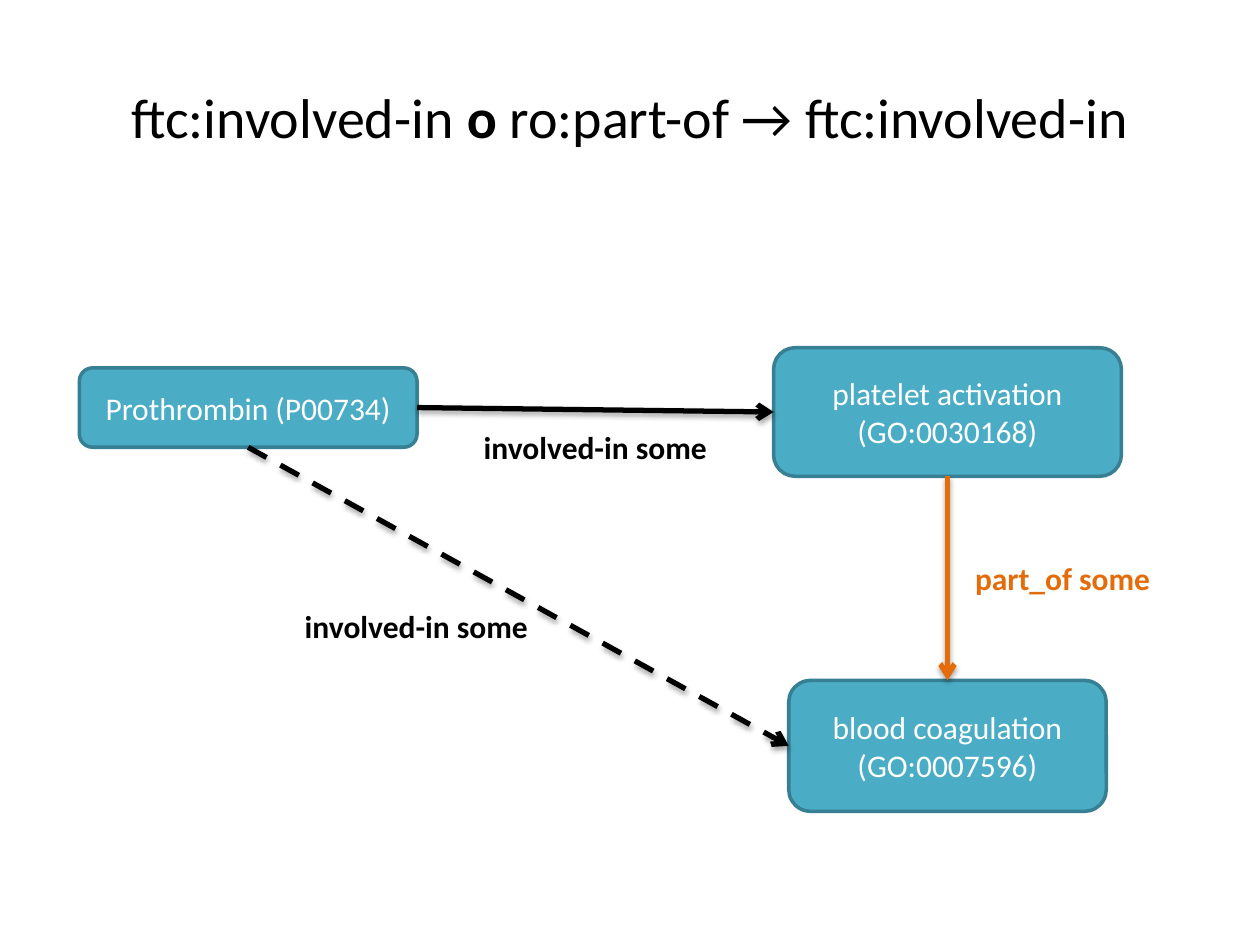
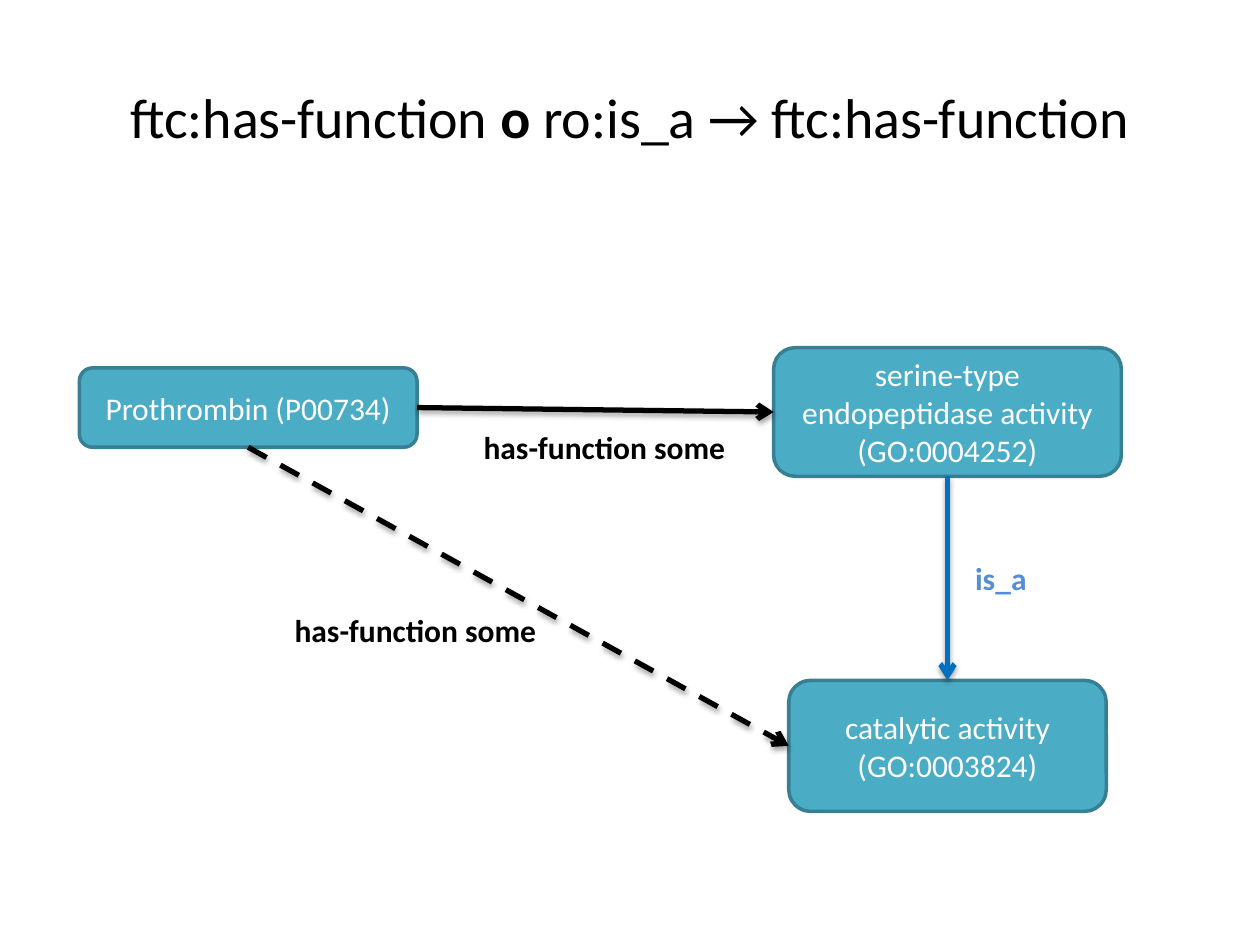
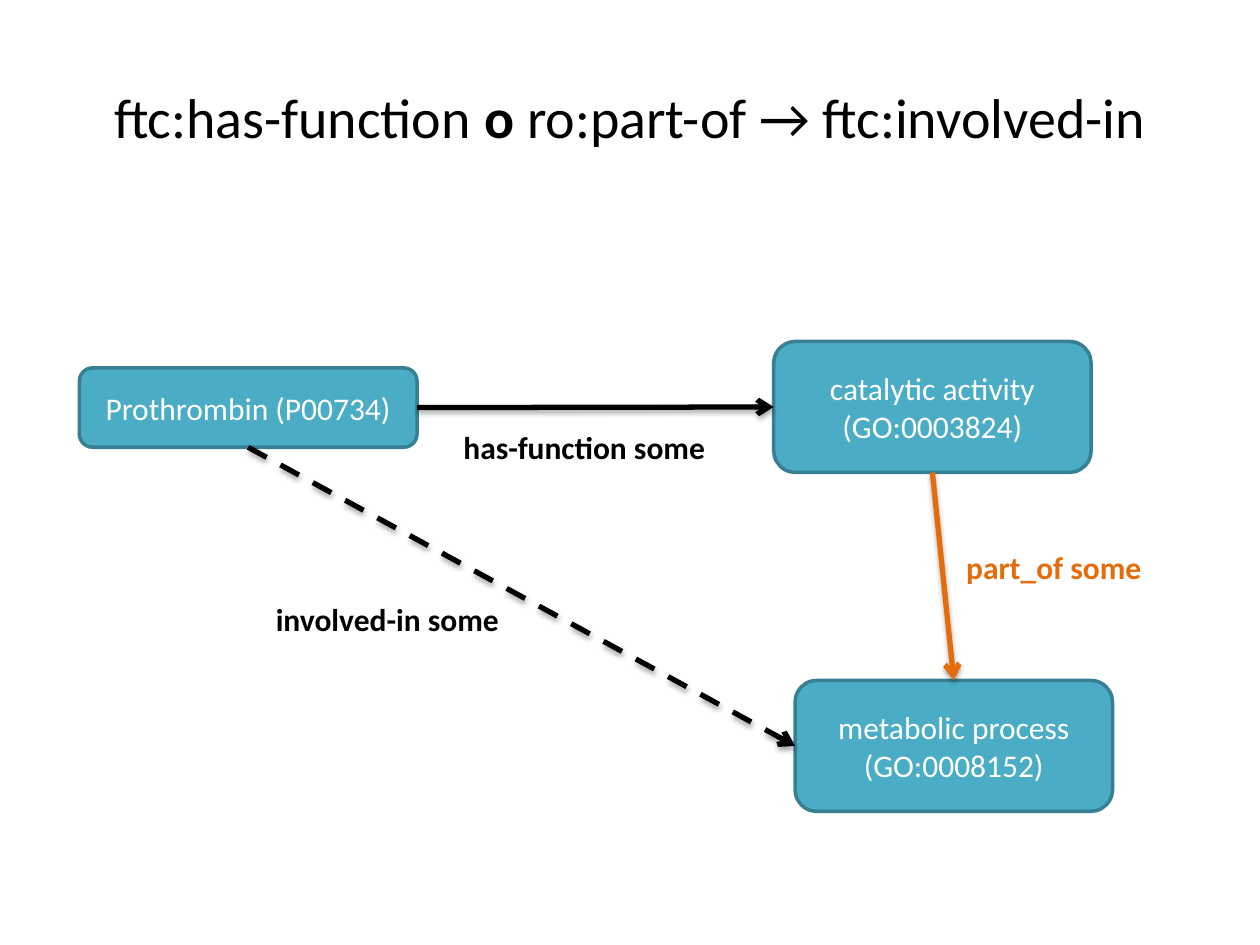
from lxml import etree
from pptx import Presentation
from pptx import util as u
from pptx.dml.color import RGBColor
from pptx.enum import dml, shapes, text
from pptx.oxml import ns

FONT = "Calibri"
BLACK = RGBColor(0x00, 0x00, 0x00)
WHITE = RGBColor(0xFF, 0xFF, 0xFF)
TEAL = RGBColor(0x4B, 0xAC, 0xC6)
DARK_TEAL = RGBColor(0x37, 0x7F, 0x92)
ORANGE = RGBColor(0xE4, 0x6C, 0x0A)
BLUE = RGBColor(0x00, 0x70, 0xC0)
LIGHT_BLUE = RGBColor(0x55, 0x8E, 0xD5)

TITLE_BOX = (0.5, 0.3, 9, 1.25)
PROTEIN = ("Prothrombin (P00734)", (0.63, 2.92, 2.68, 0.63))
WIDE_BOX = (6.14, 2.76, 2.76, 1.02)
LABEL_HEIGHT = 0.4
LABEL_WIDTHS = {"involved-in some": 1.98, "has-function some": 2.14,
                "part_of some": 1.6, "is_a": 0.61}
TOP, LEFT, BOTTOM, RIGHT = range(4)

DIAGRAMS = [
    {"title": ("ftc:involved-in ", "o ", "ro:part-of → ftc:involved-in"),
     "specific": ("platelet activation (GO:0030168)", WIDE_BOX),
     "general": ("blood coagulation (GO:0007596)", (6.26, 5.4, 2.52, 1.04)),
     "stated": ("involved-in some", (3.74, 3.35)),
     "hierarchy": ("part_of some", (7.64, 4.39), ORANGE, ORANGE),
     "inferred": ("involved-in some", (2.32, 4.77))},
    {"title": ("ftc:has-function ", "o ", "ro:is_a → ftc:has-function"),
     "specific": ("serine-type endopeptidase activity (GO:0004252)", WIDE_BOX),
     "general": ("catalytic activity (GO:0003824)", (6.26, 5.4, 2.52, 1.04)),
     "stated": ("has-function some", (3.74, 3.35)),
     "hierarchy": ("is_a", (7.64, 4.39), BLUE, LIGHT_BLUE),
     "inferred": ("has-function some", (2.24, 4.8))},
    {"title": ("ftc:has-function ", "o ", "ro:part-of → ftc:involved-in"),
     "specific": ("catalytic activity (GO:0003824)", (6.14, 2.71, 2.52, 1.04)),
     "general": ("metabolic process (GO:0008152)", (6.31, 5.4, 2.52, 1.04)),
     "stated": ("has-function some", (3.58, 3.35)),
     "hierarchy": ("part_of some", (7.57, 4.3), ORANGE, ORANGE),
     "inferred": ("involved-in some", (2.09, 4.71))},
]


def inches(values):
    return [u.Inches(value) for value in values]


def style_run(run, size, color, bold=False):
    run.font.name = FONT
    run.font.size = u.Pt(size)
    run.font.color.rgb = color
    run.font.bold = bold


def add_title(slide, parts):
    frame = slide.shapes.add_textbox(*inches(TITLE_BOX)).text_frame
    frame.word_wrap = True
    frame.vertical_anchor = text.MSO_ANCHOR.MIDDLE
    paragraph = frame.paragraphs[0]
    paragraph.alignment = text.PP_ALIGN.CENTER
    for part in parts:
        run = paragraph.add_run()
        run.text = part
        style_run(run, 32, BLACK, bold=part == "o ")


def add_node(slide, caption, box):
    shape = slide.shapes.add_shape(shapes.MSO_SHAPE.ROUNDED_RECTANGLE, *inches(box))
    shape.shadow.inherit = False
    shape.fill.solid()
    shape.fill.fore_color.rgb = TEAL
    shape.line.color.rgb = DARK_TEAL
    shape.line.width = u.Pt(2)
    frame = shape.text_frame
    frame.text = caption
    frame.word_wrap = True
    frame.vertical_anchor = text.MSO_ANCHOR.MIDDLE
    paragraph = frame.paragraphs[0]
    paragraph.alignment = text.PP_ALIGN.CENTER
    style_run(paragraph.runs[0], 18, WHITE)
    return shape


def add_label(slide, caption, place, color=BLACK):
    box = (*place, LABEL_WIDTHS[caption], LABEL_HEIGHT)
    frame = slide.shapes.add_textbox(*inches(box)).text_frame
    frame.text = caption
    frame.word_wrap = False
    frame.auto_size = text.MSO_AUTO_SIZE.SHAPE_TO_FIT_TEXT
    style_run(frame.paragraphs[0].runs[0], 18, color, bold=True)


def add_child(parent, tag, **attributes):
    return etree.SubElement(parent, ns.qn(tag), **attributes)


def add_arrow(slide, start, start_site, end, end_site, color=BLACK, dashed=False):
    arrow = slide.shapes.add_connector(shapes.MSO_CONNECTOR.STRAIGHT, 0, 0, 0, 0)
    arrow.begin_connect(start, start_site)
    arrow.end_connect(end, end_site)
    arrow.line.color.rgb = color
    arrow.line.width = u.Pt(3)
    if dashed:
        arrow.line.dash_style = dml.MSO_LINE.DASH
    properties = arrow._element.spPr
    add_child(properties.find(ns.qn("a:ln")), "a:tailEnd", type="arrow")
    effects = add_child(properties, "a:effectLst")
    shadow = add_child(effects, "a:outerShdw", blurRad=str(u.Pt(3.1)),
                       dist=str(u.Pt(1.8)), dir="5400000", rotWithShape="0")
    shade = add_child(shadow, "a:srgbClr", val=str(BLACK))
    add_child(shade, "a:alpha", val="35000")


def add_diagram(slide, diagram):
    add_title(slide, diagram["title"])
    protein = add_node(slide, *PROTEIN)
    specific = add_node(slide, *diagram["specific"])
    general = add_node(slide, *diagram["general"])
    name, place, arrow_color, label_color = diagram["hierarchy"]
    add_arrow(slide, protein, RIGHT, specific, LEFT)
    add_label(slide, *diagram["stated"])
    add_arrow(slide, specific, BOTTOM, general, TOP, arrow_color)
    add_label(slide, name, place, label_color)
    add_arrow(slide, protein, BOTTOM, general, LEFT, dashed=True)
    add_label(slide, *diagram["inferred"])


def main():
    presentation = Presentation()
    presentation.slide_width = u.Inches(10)
    presentation.slide_height = u.Inches(7.5)
    blank = presentation.slide_layouts[6]
    for diagram in DIAGRAMS:
        add_diagram(presentation.slides.add_slide(blank), diagram)
    presentation.save("out.pptx")


if __name__ == "__main__":
    main()
